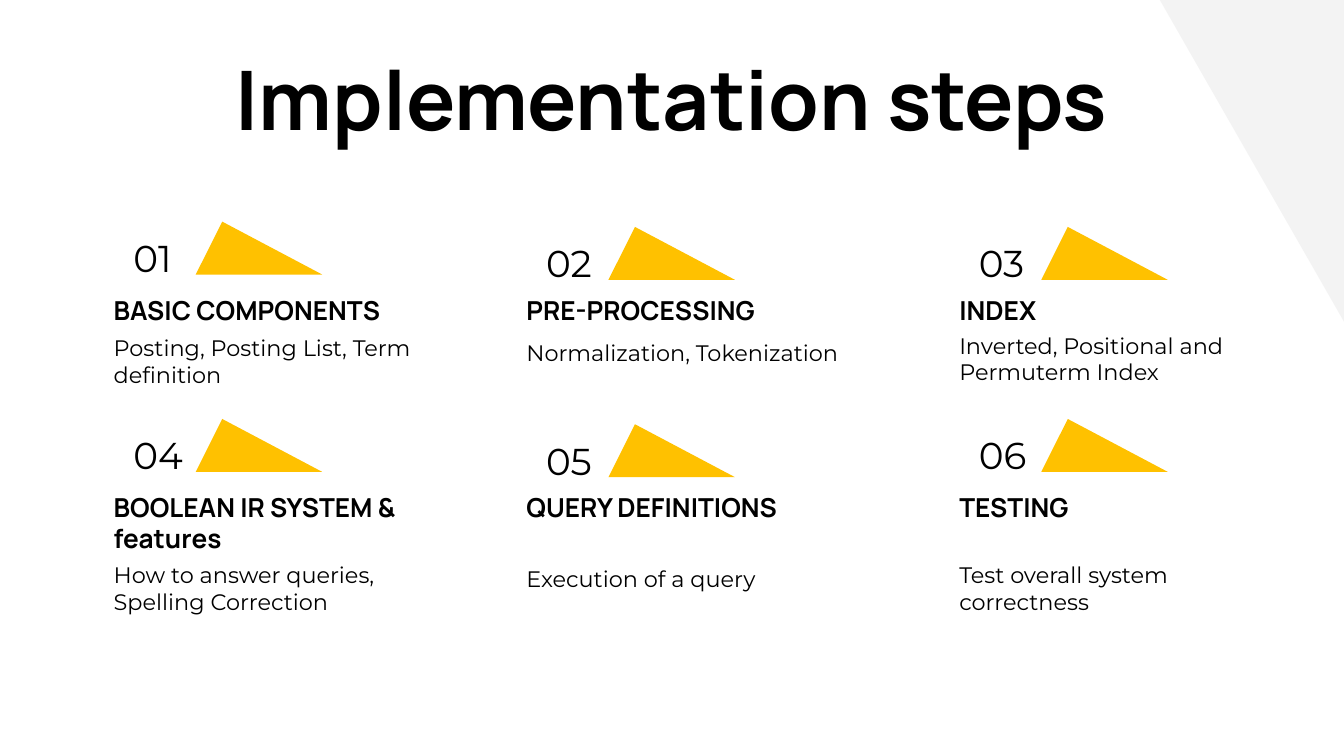
from pptx import Presentation
from pptx.dml.color import RGBColor
from pptx.enum.shapes import MSO_SHAPE as Shape
from pptx.enum.text import MSO_ANCHOR as Anchor, MSO_AUTO_SIZE as AutoSize, PP_ALIGN as Align
from pptx.util import Cm, Pt

BLACK = RGBColor(0x00, 0x00, 0x00)
YELLOW = RGBColor(0xFF, 0xC1, 0x00)
PALE_GREY = RGBColor(0xF3, 0xF3, 0xF3)
HEADING_FONT, BODY_FONT = "Manrope", "Montserrat"
INSET = Cm(0.25)
COLUMN_LEFTS = (1.9, 9.7, 17.88)
FIRST_ROW, ROW_PITCH = 4.19, 3.73
LINE_HEIGHT = 1

# number, heading, description lines, width, marker drop, description drop
STEPS = (
    ("01", "BASIC COMPONENTS", ("Posting, Posting List, Term", "definition"), 6.32, 0, 1.88),
    ("02", "PRE-PROCESSING", ("Normalization, Tokenization",), 6.53, 0.1, 1.98),
    ("03", "INDEX", ("Inverted, Positional and Permuterm Index",), 7.21, 0.1, 1.83),
    ("04", "BOOLEAN IR SYSTEM & features", ("How to answer queries, Spelling Correction",), 5.99, 0, 2.44),
    ("05", "QUERY DEFINITIONS", ("Execution of a query",), 6.53, 0.1, 2.52),
    ("06", "TESTING", ("Test overall system correctness",), 5.72, 0, 2.44),
)


def fill_plain(shape, colour):
    """Give a shape a flat fill with no outline or shadow."""
    shape.fill.solid()
    shape.fill.fore_color.rgb = colour
    shape.line.fill.background()
    shape.shadow.inherit = False


def write(box, lines, size, font, bold=False, align=Align.LEFT, anchor=Anchor.TOP):
    """Write one paragraph per line in a text holder."""
    frame = box.text_frame
    frame.text = "\n".join(lines)
    frame.word_wrap = True
    frame.auto_size = AutoSize.NONE
    frame.vertical_anchor = anchor
    frame.margin_left = frame.margin_right = INSET
    frame.margin_top = frame.margin_bottom = INSET
    for paragraph in frame.paragraphs:
        paragraph.alignment = align
        paragraph.font.size = Pt(size)
        paragraph.font.name = font
        paragraph.font.bold = bold
        paragraph.font.color.rgb = BLACK


def add_corner(slide, left, top, width, height):
    """Draw the pale triangle in the top right corner."""
    outline = slide.shapes.build_freeform(Cm(left), Cm(top))
    outline.add_line_segments([(Cm(left + width), Cm(top)), (Cm(left + width), Cm(top + height))])
    fill_plain(outline.convert_to_shape(), PALE_GREY)


def add_title(slide, left, top, width, height):
    """Place the slide title."""
    title = slide.shapes.title
    title.left, title.top, title.width, title.height = map(Cm, (left, top, width, height))
    write(title, ["Implementation steps"], 44, HEADING_FONT, bold=True, align=Align.CENTER)


def add_step(slide, left, top, step):
    """Place a numbered step with its marker, heading and description."""
    number, heading, description, width, marker_drop, description_drop = step

    def text_box(x, y, box_width):
        """Add a text box offset from the corner of the step."""
        return slide.shapes.add_textbox(Cm(left + x), Cm(top + y), Cm(box_width), Cm(LINE_HEIGHT))

    marker = slide.shapes.add_shape(
        Shape.ISOSCELES_TRIANGLE, Cm(left + 1.8), Cm(top + marker_drop), Cm(2.39), Cm(LINE_HEIGHT))
    marker.adjustments[0] = 0.21
    fill_plain(marker, YELLOW)
    write(text_box(0.37, marker_drop + 0.18, 3), [number], 20, BODY_FONT, anchor=Anchor.MIDDLE)
    write(text_box(0, 1.12, width), [heading], 14, HEADING_FONT, bold=True)
    write(text_box(0, description_drop, width), description, 12, BODY_FONT)


def build_steps_slide(deck):
    """Build the slide with six steps in a grid."""
    slide = deck.slides.add_slide(deck.slide_layouts[5])
    add_corner(slide, 21.92, 0, 3.48, 6.08)
    add_title(slide, 1.45, 0.66, 22.5, 1.6)
    for index, step in enumerate(STEPS):
        row, column = divmod(index, len(COLUMN_LEFTS))
        add_step(slide, COLUMN_LEFTS[column], FIRST_ROW + row * ROW_PITCH, step)


deck = Presentation()
deck.slide_width, deck.slide_height = Cm(25.4), Cm(14.29)
build_steps_slide(deck)
deck.save("out.pptx")
